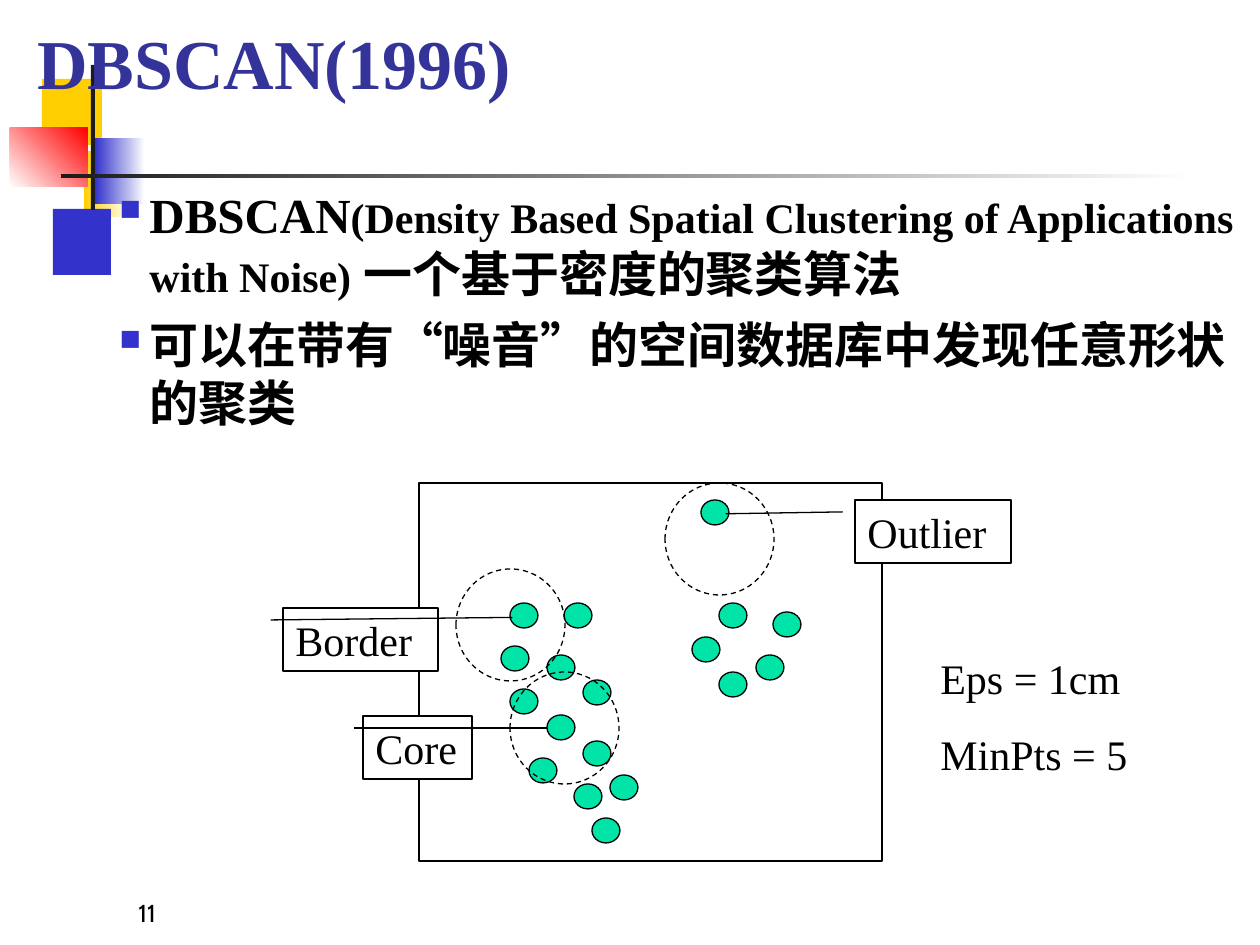
from lxml import etree
from pptx import Presentation
from pptx import util as u
from pptx.dml.color import RGBColor
from pptx.enum import dml, shapes, text
from pptx.oxml.ns import qn

PX = u.Inches(1) / 126
THEME = dict(
    yellow="FFCF01", blue="3333CC", red="FF0000", dark="1C1C1C", white="FFFFFF",
    title="333399", ink="000000", dot="00E4A8",
    title_size=40, body_size=28, label_size=24, number_size=14,
    serif="Times New Roman", sans="Cabin",
)
RECT, OVAL = shapes.MSO_SHAPE.RECTANGLE, shapes.MSO_SHAPE.OVAL


def draw(parent, kind, box, fill=None, line=None, angle=0):
    shape = parent.add_shape(kind, *(round(v * PX) for v in box))
    shape.shadow.inherit = False
    if fill is None:
        shape.fill.background()
    elif isinstance(fill, tuple):
        shape.fill.gradient()
        shape.fill.gradient_angle = angle
        for stop, name in zip(shape.fill.gradient_stops, fill):
            stop.color.rgb = RGBColor.from_string(THEME[name])
    else:
        shape.fill.solid()
        shape.fill.fore_color.rgb = RGBColor.from_string(THEME[fill])
    if line is None:
        shape.line.fill.background()
    else:
        shape.line.color.rgb = RGBColor.from_string(THEME["ink"])
        shape.line.width = u.Pt(0.75)
        shape.line.dash_style = line
    return shape


def write(shape, paragraphs, color="ink", face="serif", bold=False, gap=0,
          anchor=text.MSO_ANCHOR.TOP, bullet=None):
    frame = shape.text_frame
    frame_format = dict(word_wrap=True, vertical_anchor=anchor,
                        margin_left=u.Inches(0.1), margin_right=u.Inches(0.1),
                        margin_top=u.Inches(0.05), margin_bottom=u.Inches(0.05))
    for key, value in frame_format.items():
        setattr(frame, key, value)
    for index, pieces in enumerate(paragraphs):
        paragraph = frame.add_paragraph() if index else frame.paragraphs[0]
        paragraph.alignment = text.PP_ALIGN.LEFT
        if index:
            paragraph.space_before = u.Pt(gap)
        if bullet:
            props = paragraph._p.get_or_add_pPr()
            props.set("marL", str(round(30 * PX)))
            props.set("indent", str(round(-30 * PX)))
            tint = etree.SubElement(props, qn("a:buClr"))
            etree.SubElement(tint, qn("a:srgbClr"), val=THEME["blue"])
            etree.SubElement(props, qn("a:buSzPct"), val="60000")
            etree.SubElement(props, qn("a:buChar"), char=bullet)
        for words, size in pieces:
            run = paragraph.add_run()
            run.text = words
            run_format = dict(size=u.Pt(THEME[size]), name=THEME[face], bold=bold)
            for key, value in run_format.items():
                setattr(run.font, key, value)
            run.font.color.rgb = RGBColor.from_string(THEME[color])


deck = Presentation()
deck.slide_width, deck.slide_height = round(1260 * PX), round(945 * PX)
slide = deck.slides.add_slide(deck.slide_layouts[6])
canvas = slide.shapes

ornaments = [
    ((42, 79, 60, 66), "yellow", 0),
    ((84, 151, 45, 66), ("yellow", "white"), 0),
    ((53, 209, 58, 66), "blue", 0),
    ((95, 138, 50, 66), ("blue", "white"), 0),
    ((10, 128, 78, 59), ("white", "red"), 45),
    ((91, 65, 4, 145), "dark", 0),
    ((61, 174, 1134, 4), ("dark", "white"), 0),
]
for box, fill, angle in ornaments:
    draw(canvas, RECT, box, fill, angle=angle)

page_number, title, body = (
    canvas.add_textbox(*(round(v * PX) for v in box))
    for box in [(126, 892, 262, 42), (25, 26, 1061, 84), (107, 178, 1153, 296)]
)
write(page_number, [[("11", "number_size")]], face="sans", anchor=text.MSO_ANCHOR.BOTTOM)
write(title, [[("DBSCAN(1996)", "title_size")]], "title", bold=True,
      anchor=text.MSO_ANCHOR.BOTTOM)
write(body, [
    [("DBSCAN", "body_size"),
     ("(Density Based Spatial Clustering of Applications with Noise)", "label_size"),
     (" 一个基于密度的聚类算法", "body_size")],
    [("可以在带有“噪音”的空间数据库中发现任意形状的聚类", "body_size")],
], bold=True, gap=7, bullet="■")

diagram = canvas.add_group_shape().shapes
solid, dashed = dml.MSO_LINE.SOLID, dml.MSO_LINE.DASH
left_cluster = [(510, 603), (501, 646), (547, 655), (564, 603), (583, 680), (510, 689),
                (547, 715), (529, 758), (574, 784), (592, 818), (583, 741), (610, 775)]
right_cluster = [(719, 603), (692, 637), (756, 655), (773, 612), (719, 672)]
outlier = (701, 500)
for left, top in left_cluster + right_cluster + [outlier]:
    draw(diagram, OVAL, (left, top, 28, 25), "dot", solid)

draw(diagram, RECT, (419, 483, 463, 378), line=solid)
for left, top in [(456, 569), (510, 672), (665, 483)]:
    draw(diagram, OVAL, (left, top, 109, 112), line=dashed)

callouts = [
    ("Core", (363, 716, 109, 63), (0.19, -0.08, 0.19, 1.69)),
    ("Border", (283, 608, 155, 63), (0.19, -0.08, 0.15, 1.48)),
    ("Outlier", (855, 500, 156, 63), (0.19, -0.08, 0.22, -0.83)),
]
for label, box, pointer in callouts:
    callout = draw(diagram, shapes.MSO_SHAPE.LINE_CALLOUT_1, box, "white", solid)
    for index, value in enumerate(pointer):
        callout.adjustments[index] = value
    write(callout, [[(label, "label_size")]])

parameters = diagram.add_textbox(*(round(v * PX) for v in (928, 646, 227, 140)))
write(parameters, [[("Eps = 1cm", "label_size")], [("MinPts = 5", "label_size")]], gap=15)

deck.save("out.pptx")
